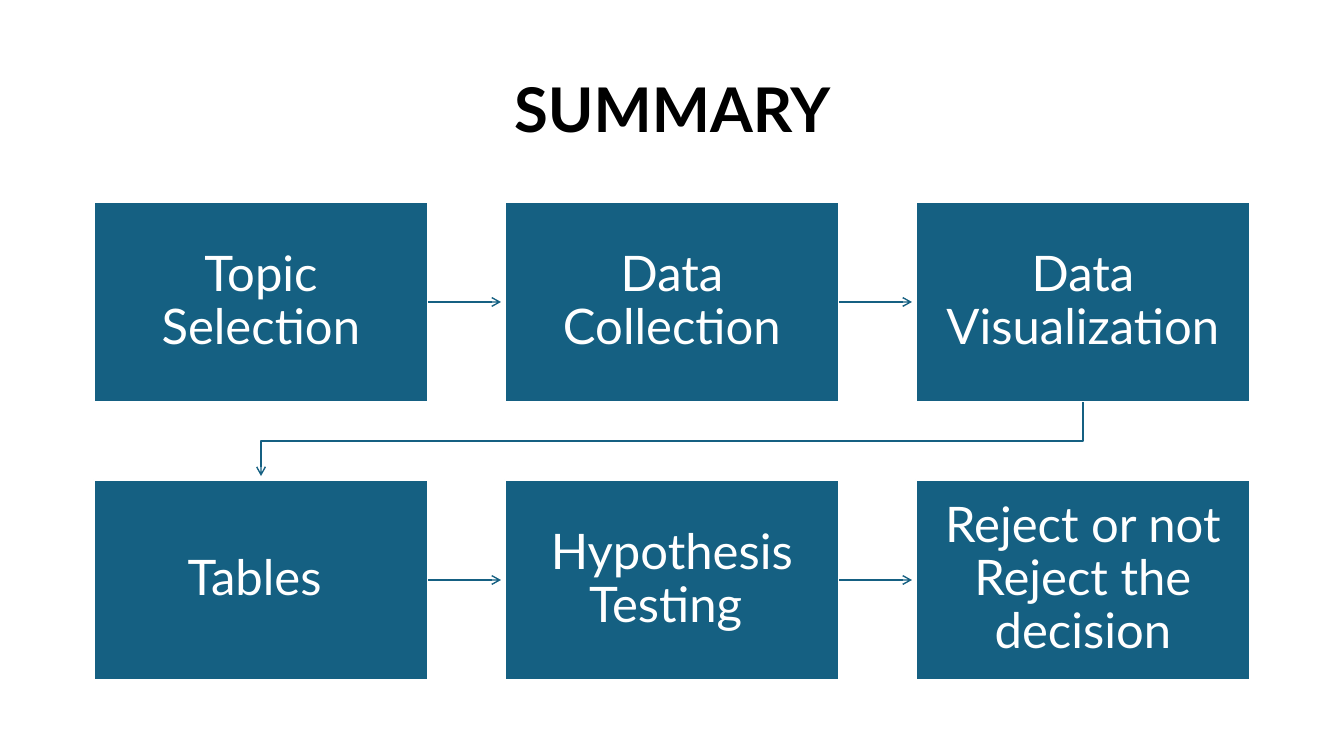
"""Builds the summary slide: a six-step process in two rows joined by arrows."""
from dataclasses import dataclass

from lxml import etree
from pptx import Presentation
from pptx.dml.color import RGBColor
from pptx.enum.shapes import MSO_CONNECTOR, MSO_SHAPE
from pptx.enum.text import MSO_ANCHOR, MSO_AUTO_SIZE, PP_ALIGN
from pptx.oxml.ns import qn
from pptx.util import Emu, Pt

RECT = MSO_SHAPE.RECTANGLE
STRAIGHT = MSO_CONNECTOR.STRAIGHT
CENTER, MIDDLE = PP_ALIGN.CENTER, MSO_ANCHOR.MIDDLE
NO_FIT = MSO_AUTO_SIZE.NONE
SCALE = 914400 / 100.8
FONT, TEAL, WHITE, BLACK = "Lato", "156082", "FFFFFF", "000000"
RIGHT = 3

COLUMNS = 3
LEFT, TOP = 94, 202
BOX_W, BOX_H = 334, 200
PITCH_X, PITCH_Y = 411, 278
ARROW_GAP = 4
STEPS = [
    "Topic Selection",
    "Data Collection",
    "Data Visualization",
    "Tables ",
    "Hypothesis Testing ",
    "Reject or not Reject the decision",
]


@dataclass
class Step:
    text: str
    x: int
    y: int

    @property
    def mid_x(self) -> int:
        return self.x + BOX_W // 2

    @property
    def mid_y(self) -> int:
        return self.y + BOX_H // 2


def px(n: int) -> Emu:
    return Emu(round(n * SCALE))


def rgb(color: str) -> RGBColor:
    return RGBColor.from_string(color)


def write(tf, text: str, *, size: int, color: str, bold: bool = False,
          inset_x: int = 10, inset_y: int = 5) -> None:
    tf.word_wrap = True
    tf.auto_size = NO_FIT
    tf.vertical_anchor = MIDDLE
    tf.margin_left = tf.margin_right = px(inset_x)
    tf.margin_top = tf.margin_bottom = px(inset_y)
    p = tf.paragraphs[0]
    p.alignment = CENTER
    p.line_spacing = 0.9
    r = p.add_run()
    r.text = text
    r.font.name = FONT
    r.font.size = Pt(size)
    r.font.bold = bold
    r.font.color.rgb = rgb(color)


def style_arrow(shape) -> None:
    shape.line.color.rgb = rgb(TEAL)
    shape.line.width = Pt(1)
    ln = shape.line._get_or_add_ln()
    etree.SubElement(ln, qn("a:tailEnd"), type="arrow")
    etree.SubElement(shape._element.spPr, qn("a:effectLst"))


def add_box(s, step: Step):
    sp = s.shapes.add_shape(RECT, px(step.x), px(step.y), px(BOX_W), px(BOX_H))
    sp.shadow.inherit = False
    sp.fill.solid()
    sp.fill.fore_color.rgb = rgb(TEAL)
    sp.line.color.rgb = rgb(WHITE)
    sp.line.width = Pt(1.5)
    write(sp.text_frame, step.text, size=35, color=WHITE, inset_x=16, inset_y=17)
    return sp


def add_arrow(s, box, start: Step, end: Step) -> None:
    cx = s.shapes.add_connector(STRAIGHT, px(start.x + BOX_W), px(start.mid_y),
                                px(end.x - ARROW_GAP), px(end.mid_y))
    cx.begin_connect(box, RIGHT)
    style_arrow(cx)


def add_row_break(s, start: Step, end: Step) -> None:
    bottom = start.y + BOX_H
    turn = (bottom + end.y) // 2
    builder = s.shapes.build_freeform(start.mid_x, bottom, scale=SCALE)
    builder.add_line_segments(
        [(start.mid_x, turn), (end.mid_x, turn), (end.mid_x, end.y - ARROW_GAP)],
        close=False,
    )
    sp = builder.convert_to_shape()
    sp.fill.background()
    style_arrow(sp)


def main() -> None:
    prs = Presentation()
    prs.slide_width, prs.slide_height = px(1344), px(756)
    s = prs.slides.add_slide(prs.slide_layouts[5])

    title = s.shapes.title
    title.left, title.top, title.width, title.height = map(px, (93, 40, 1159, 146))
    write(title.text_frame, "SUMMARY", size=44, color=BLACK, bold=True)

    steps = [Step(text, LEFT + i % COLUMNS * PITCH_X, TOP + i // COLUMNS * PITCH_Y)
             for i, text in enumerate(STEPS)]
    boxes = [add_box(s, step) for step in steps]
    for box, start, end in zip(boxes, steps, steps[1:]):
        if start.y == end.y:
            add_arrow(s, box, start, end)
        else:
            add_row_break(s, start, end)

    prs.save("out.pptx")


if __name__ == "__main__":
    main()
